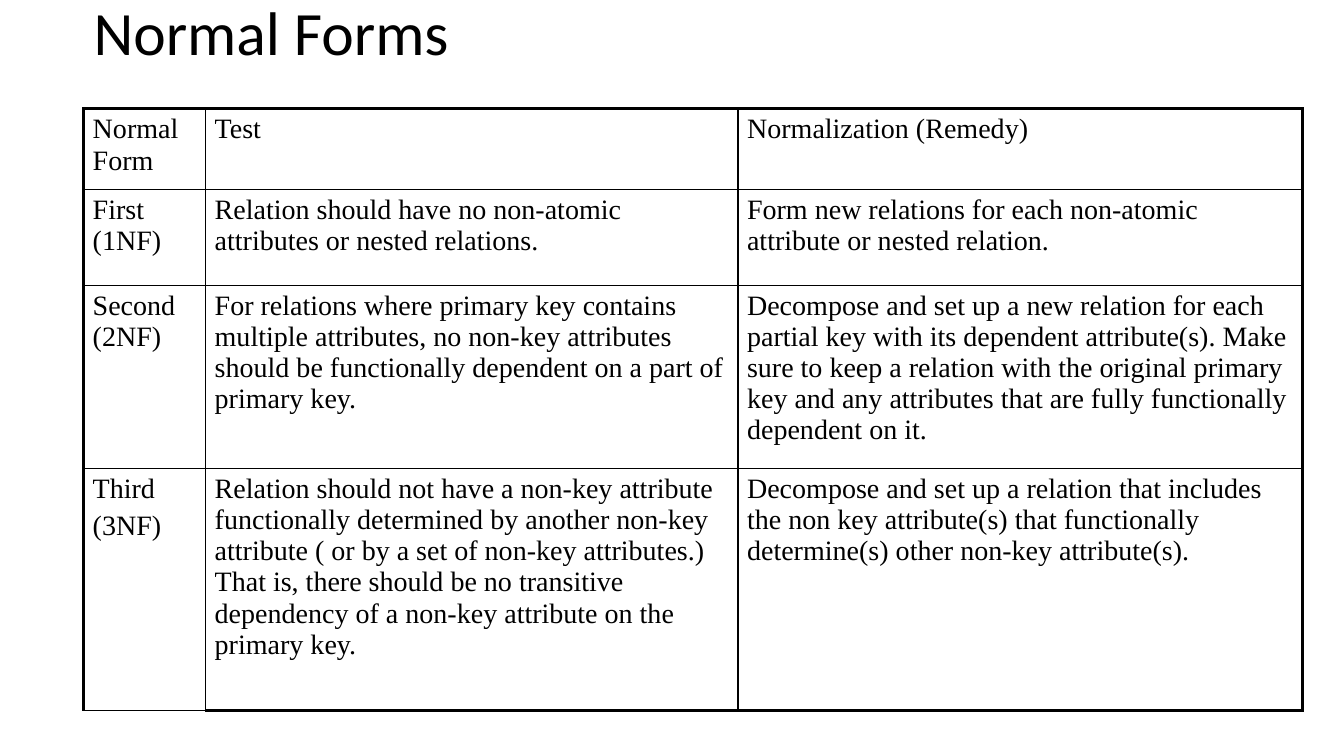
from lxml import etree
from pptx import Presentation
from pptx.dml.color import RGBColor
from pptx.enum.text import MSO_ANCHOR
from pptx.oxml.ns import qn
from pptx.util import Inches, Pt

COLORS = {"ink": "000000"}
THIN, THICK = 1, 2.25


def add_run(paragraph, text, font_name, size):
    run = paragraph.add_run()
    run.text = text
    run.font.name = font_name
    run.font.size = Pt(size)
    run.font.color.rgb = RGBColor.from_string(COLORS["ink"])


def add_border(cell, side, width):
    properties = cell._tc.get_or_add_tcPr()
    line = etree.SubElement(properties, qn(f"a:ln{side}"), w=str(Pt(width)))
    fill = etree.SubElement(line, qn("a:solidFill"))
    etree.SubElement(fill, qn("a:srgbClr"), val=COLORS["ink"])


presentation = Presentation()
presentation.slide_width = Inches(13.33)
presentation.slide_height = Inches(7.5)
slide = presentation.slides.add_slide(presentation.slide_layouts[6])

# Title
title = slide.shapes.add_textbox(Inches(0.83), Inches(-0.37), Inches(11.5), Inches(1.45))
title.text_frame.word_wrap = True
title.text_frame.vertical_anchor = MSO_ANCHOR.MIDDLE
title_paragraph = title.text_frame.paragraphs[0]
title_paragraph.line_spacing = 0.9
add_run(title_paragraph, "Normal Forms", "Calibri", 44)

# Normal forms table: each cell is a list of paragraphs
rows = [
    [["Normal Form"], ["Test"], ["Normalization (Remedy)"]],
    [["First (1NF)"],
     ["Relation should have no non-atomic attributes or nested relations."],
     ["Form new relations for each non-atomic attribute or nested relation."]],
    [["Second (2NF)"],
     ["For relations where primary key contains multiple attributes, no non-key "
      "attributes should be functionally dependent on a part of primary key."],
     ["Decompose and set up a new relation for each partial key with its dependent "
      "attribute(s). Make sure to keep a relation with the original primary key and "
      "any attributes that are fully functionally dependent on it."]],
    [["Third", "(3NF)"],
     ["Relation should not have a non-key attribute functionally determined by another "
      "non-key attribute ( or by a set of non-key attributes.) That is, there should be "
      "no transitive dependency of a non-key attribute on the primary key."],
     ["Decompose and set up a relation that includes the non key attribute(s) that "
      "functionally determine(s) other non-key attribute(s)."]],
]
column_widths = [1.21, 5.28, 5.6]
row_heights = [0.8, 0.95, 1.82, 2.4]
last_row, last_column = len(rows) - 1, len(column_widths) - 1

table = slide.shapes.add_table(len(rows), len(column_widths), Inches(0.83), Inches(1.08),
                               Inches(sum(column_widths)), Inches(sum(row_heights))).table
table.first_row = False
table.horz_banding = False
for column, width in zip(table.columns, column_widths):
    column.width = Inches(width)
for row, height in zip(table.rows, row_heights):
    row.height = Inches(height)

for row_index, row_texts in enumerate(rows):
    for column_index, texts in enumerate(row_texts):
        cell = table.cell(row_index, column_index)
        cell.margin_left = cell.margin_right = Inches(0.09)
        cell.margin_top = cell.margin_bottom = Inches(0.05)

        # Thick outer frame, except below the first column
        thick_sides = {
            "L": column_index == 0,
            "R": column_index == last_column,
            "T": row_index == 0,
            "B": row_index == last_row and column_index > 0,
        }
        for side, is_thick in thick_sides.items():
            add_border(cell, side, THICK if is_thick else THIN)
        cell.fill.background()

        for text_index, text in enumerate(texts):
            if text_index == 0:
                paragraph = cell.text_frame.paragraphs[0]
            else:
                paragraph = cell.text_frame.add_paragraph()
                paragraph.space_before = Pt(4)
            add_run(paragraph, text, "Times New Roman", 20)

presentation.save("out.pptx")
